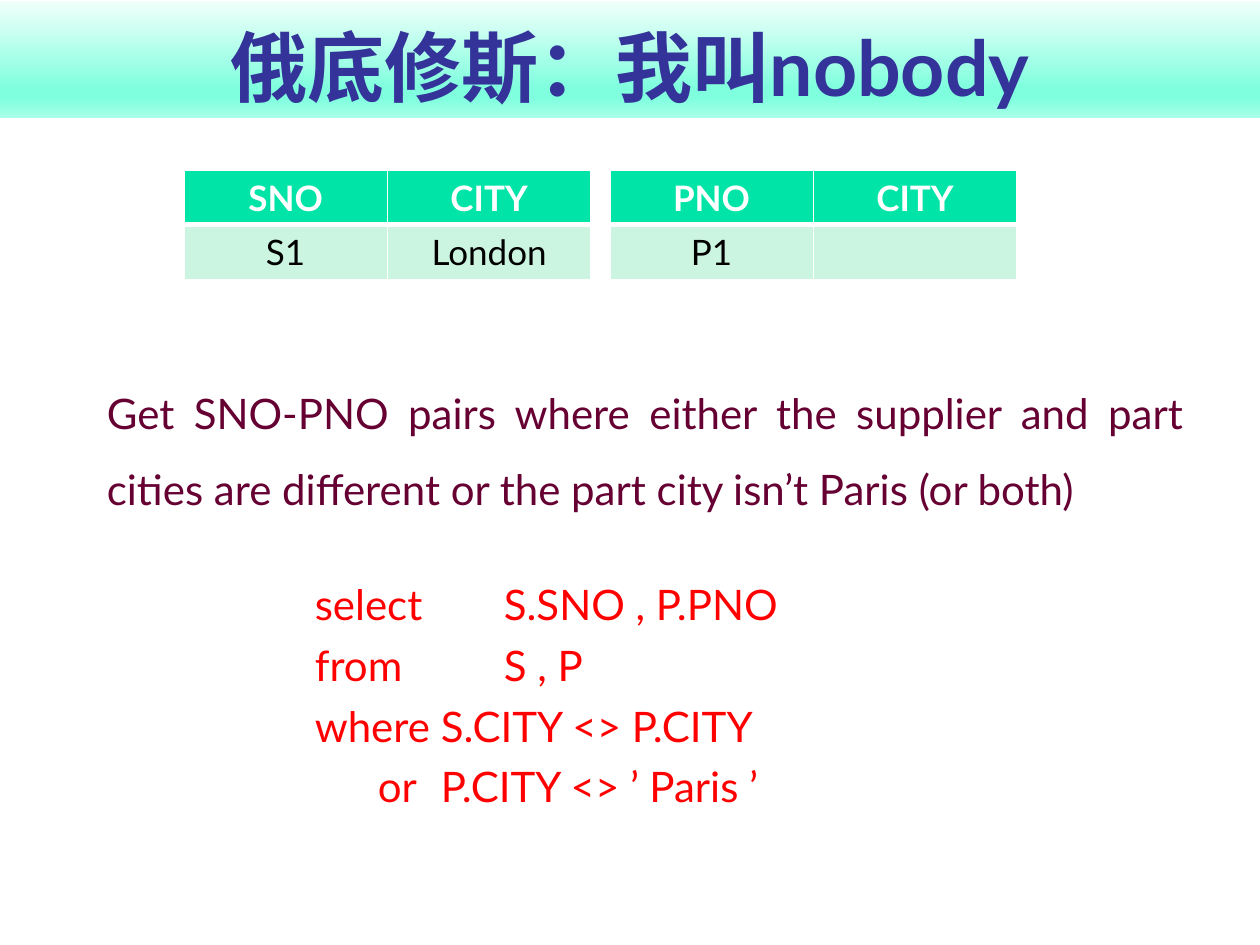
from lxml.etree import SubElement
from pptx import Presentation
from pptx.dml.color import RGBColor
from pptx.enum.shapes import MSO_SHAPE as Shape
from pptx.enum.text import MSO_ANCHOR as Anchor, MSO_AUTO_SIZE as AutoSize, PP_ALIGN as Align
from pptx.oxml.ns import qn
from pptx.util import Inches, Pt

# Content
TITLE = "俄底修斯：我叫nobody"
TABLES = [
    [("SNO", "CITY"), ("S1", "London")],
    [("PNO", "CITY"), ("P1", "")],
]
QUESTION = ["Get SNO-PNO pairs where either the supplier and part cities "
            "are different or the part city isn’t Paris (or both)"]
QUERY = [
    "select\t\tS.SNO , P.PNO",
    "from \t\tS , P",
    "where \tS.CITY <> P.CITY",
    "\tor \tP.CITY <> ’ Paris ’",
]

THEME = {
    "font": "Lato",
    "title": "333399", "question": "660033", "query": "FF0000",
    "header_text": "FFFFFF", "body_text": "000000",
    "header_fill": "00E4A8", "body_fill": "CCF5E1", "border": "FFFFFF",
    "banner": [(0, "F1FFFB"), (74, "80FFDE"), (83, "80FFDE"), (100, "AAFFE9")],
    "title_size": 44, "text_size": 24, "cell_size": 20,
}

# Layout in inches
TABLE_LEFT, TABLE_TOP, TABLE_STEP = 1.46, 1.35, 3.38
TABLE_WIDTH, TABLE_HEIGHT = 3.23, 0.81


def write(frame, lines, color, size, align=Align.CENTER, bold=False, before=0, spacing=None):
    for index, line in enumerate(lines):
        paragraph = frame.add_paragraph() if index else frame.paragraphs[0]
        paragraph.alignment = align
        paragraph.space_before = Pt(before)
        if spacing:
            paragraph.line_spacing = spacing
        run = paragraph.add_run()
        run.text = line
        font = run.font
        font.name, font.size, font.bold = THEME["font"], Pt(size), bold
        font.color.rgb = RGBColor.from_string(color)


def add_text(slide, box, lines, color, **form):
    frame = slide.shapes.add_textbox(*map(Inches, box)).text_frame
    frame.word_wrap = True
    frame.auto_size = AutoSize.SHAPE_TO_FIT_TEXT
    write(frame, lines, color, THEME["text_size"], align=Align.JUSTIFY, **form)


def add_banner(slide, box):
    banner = slide.shapes.add_shape(Shape.RECTANGLE, *map(Inches, box))
    banner.shadow.inherit = False
    banner.line.fill.background()
    banner.fill.gradient()
    banner.fill.gradient_angle = 270  # counter-clockwise: runs top to bottom
    stops = banner._element.spPr.find(qn("a:gradFill")).find(qn("a:gsLst"))
    for stop in list(stops):
        stops.remove(stop)
    for percent, color in THEME["banner"]:
        stop = SubElement(stops, qn("a:gs"), pos=str(percent * 1000))
        SubElement(stop, qn("a:srgbClr"), val=color)
    frame = banner.text_frame
    frame.word_wrap = True
    frame.vertical_anchor = Anchor.BOTTOM
    write(frame, [TITLE], THEME["title"], THEME["title_size"], bold=True)


def add_borders(cell, widths):
    properties = cell._tc.get_or_add_tcPr()
    for side, width in zip(("lnL", "lnR", "lnT", "lnB"), widths):
        line = SubElement(properties, qn(f"a:{side}"), w=str(Pt(width)))
        fill = SubElement(line, qn("a:solidFill"))
        SubElement(fill, qn("a:srgbClr"), val=THEME["border"])


def add_relation(slide, left, rows):
    box = (left, TABLE_TOP, TABLE_WIDTH, TABLE_HEIGHT)
    table = slide.shapes.add_table(len(rows), len(rows[0]), *map(Inches, box)).table
    for r, row in enumerate(rows):
        part = "body" if r else "header"
        # A thick rule separates the header from the body
        widths = (1, 1, 3, 1) if r else (1, 1, 1, 3)
        for c, value in enumerate(row):
            cell = table.cell(r, c)
            add_borders(cell, widths)
            cell.fill.solid()
            cell.fill.fore_color.rgb = RGBColor.from_string(THEME[f"{part}_fill"])
            write(cell.text_frame, [value], THEME[f"{part}_text"],
                  THEME["cell_size"], bold=part == "header")


def main():
    deck = Presentation()
    deck.slide_width, deck.slide_height = Inches(10), Inches(7.5)
    slide = deck.slides.add_slide(deck.slide_layouts[6])

    # Title banner
    add_banner(slide, (0, 0.01, 10, 0.93))
    # SQL query
    add_text(slide, (2.4, 4.54, 5.28, 1.97), QUERY, THEME["query"], before=6)
    # Supplier and part tables
    for index, rows in enumerate(TABLES):
        add_relation(slide, TABLE_LEFT + index * TABLE_STEP, rows)
    # Question
    add_text(slide, (0.75, 2.83, 8.74, 1.31), QUESTION, THEME["question"], spacing=1.5)

    deck.save("out.pptx")


if __name__ == "__main__":
    main()
